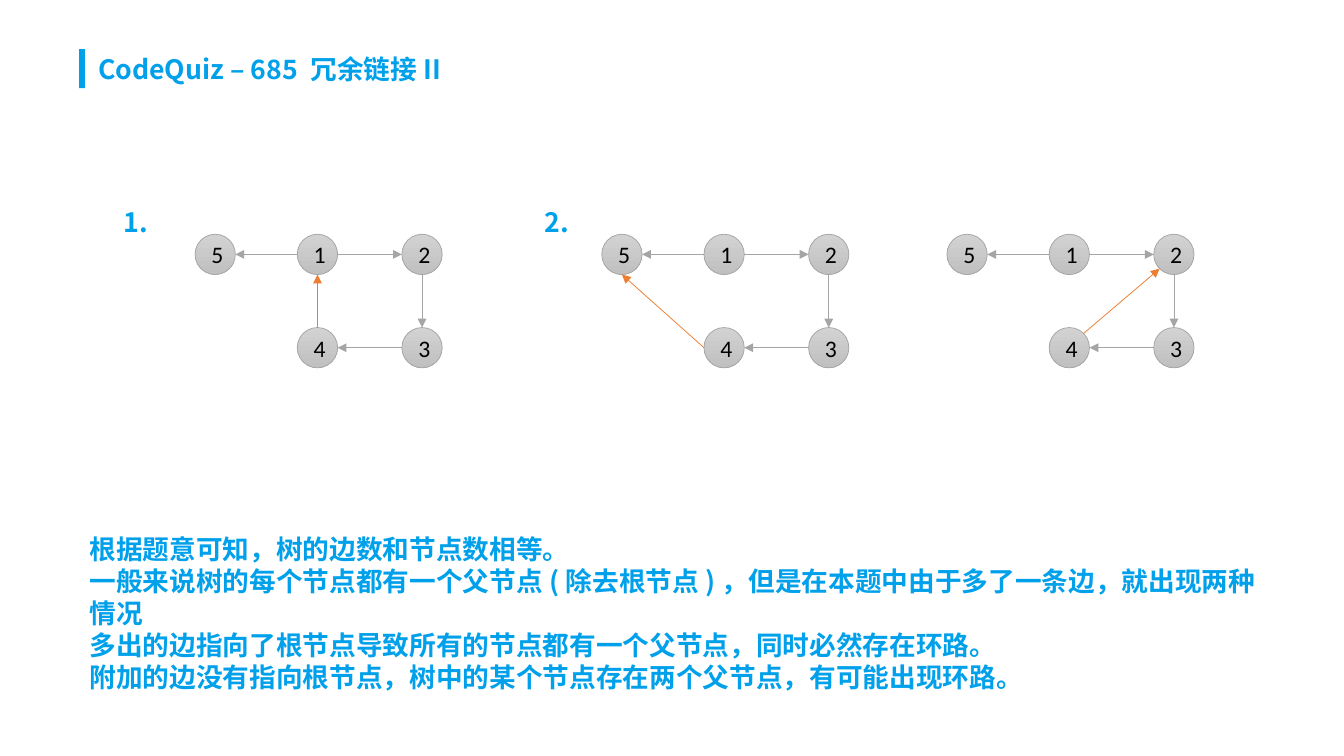
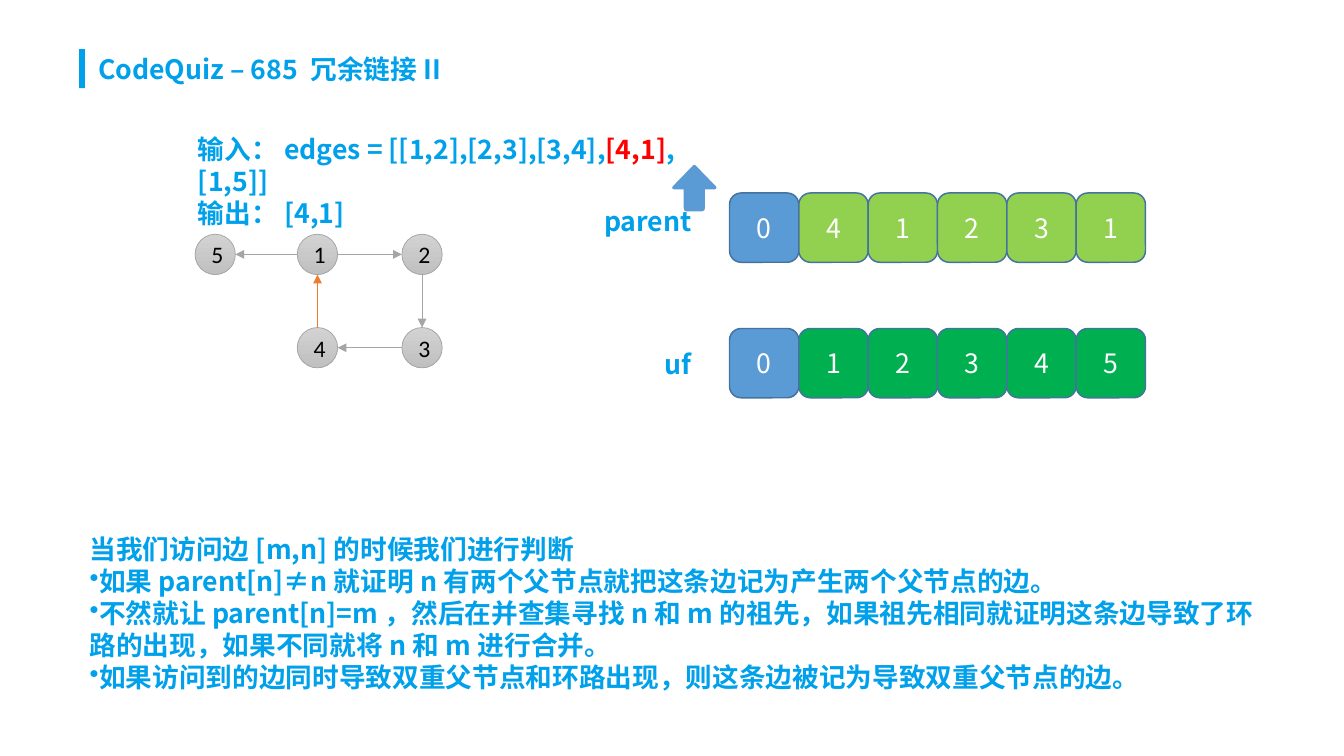
from lxml.etree import SubElement
from pptx import Presentation
from pptx.dml.color import RGBColor
from pptx.enum.shapes import MSO_CONNECTOR, MSO_SHAPE
from pptx.enum.text import MSO_ANCHOR, MSO_AUTO_SIZE, PP_ALIGN
from pptx.oxml.ns import qn
from pptx.util import Pt

SKY = RGBColor(0x00, 0xA0, 0xEA)
RED = RGBColor(0xFF, 0x00, 0x00)
BLUE = RGBColor(0x5B, 0x9B, 0xD5)
NAVY = RGBColor(0x43, 0x73, 0x9E)
LIME = RGBColor(0x92, 0xD0, 0x50)
GREEN = RGBColor(0x00, 0xB0, 0x50)
ORANGE = RGBColor(0xED, 0x7D, 0x31)
GRAY = RGBColor(0xA5, 0xA5, 0xA5)
NODE_TOP = RGBColor(0xD2, 0xD2, 0xD2)
NODE_BOTTOM = RGBColor(0xC0, 0xC0, 0xC0)
WHITE = RGBColor(0xFF, 0xFF, 0xFF)
BLACK = RGBColor(0x00, 0x00, 0x00)
CJK_FONT = "Noto Sans CJK JP"
NODE_FONT = "Calibri"

TITLE = "CodeQuiz – 685 冗余链接II"
CASE_NOTES = [
    "根据题意可知，树的边数和节点数相等。",
    "一般来说树的每个节点都有一个父节点(除去根节点)，但是在本题中由于多了一条边，就出现两种情况",
    "多出的边指向了根节点导致所有的节点都有一个父节点，同时必然存在环路。",
    "附加的边没有指向根节点，树中的某个节点存在两个父节点，有可能出现环路。",
]
STEP_INTRO = "当我们访问边[m,n]的时候我们进行判断"
STEPS = [
    "如果parent[n]≠n就证明n有两个父节点就把这条边记为产生两个父节点的边。",
    "不然就让parent[n]=m，然后在并查集寻找n和m的祖先，如果祖先相同就证明这条边导致了环路的出现，"
    "如果不同就将n和m进行合并。",
    "如果访问到的边同时导致双重父节点和环路出现，则这条边被记为导致双重父节点的边。",
]
EXAMPLE = [
    [("输入：edges = [[1,2],[2,3],[3,4],", SKY), ("[4,1]", RED), (",[1,5]]", SKY)],
    [("输出：[4,1]", SKY)],
]
# label, label top, row top, values, colour of the cells after the first
ARRAYS = [
    ("parent", 134.6, 130.3, "041231", LIME),
    ("uf", 231.1, 221.8, "012345", GREEN),
]

# Nodes as (column, row); edges as (from, side, to, side)
NODES = {1: (1, 0), 2: (2, 0), 3: (2, 1), 4: (1, 1), 5: (0, 0)}
TREE_EDGES = [(1, "W", 5, "E"), (1, "E", 2, "W"), (2, "S", 3, "N"), (3, "W", 4, "E")]
TO_ROOT = (4, "N", 1, "S")
TO_LEAF = (4, "W", 5, "S")
TO_CHILD = (4, "NE", 2, "SW")
SIDES = {"N": (0, -1), "S": (0, 1), "E": (1, 0), "W": (-1, 0),
         "NE": (0.71, -0.71), "SW": (-0.71, 0.71)}
COLUMN_X = [0, 69, 139.6]
ROW_Y = [0, 63]
NODE_SIZE = 27.2
TREE_TOP = 158.2
FIRST_TREE_X = 131.7

CELL_X, CELL_SIZE = 492.4, 46.8
LABEL_RIGHT = 474
LINE_HEIGHT = 21.6
# Right half of the pointer, from the tip down, measured from its axis
POINTER_HALF = [(0.8, 0.3), (14.5, 14.4), (15, 15.6), (13.8, 16.6), (7.2, 16.6),
                (7.2, 29), (6.7, 30.7), (5, 31.4)]


def add_span(para, text, color=SKY, bold=True, font=CJK_FONT, size=18):
    span = para.add_run()
    span.text = text
    span.font.size, span.font.bold, span.font.name = Pt(size), bold, font
    span.font.color.rgb = color
    SubElement(span._r.get_or_add_rPr(), qn("a:ea")).set("typeface", font)


def fill_frame(frame, paras, align=PP_ALIGN.LEFT, bullets_from=None):
    """Write paragraphs, each a list of (text, colour) spans."""
    frame.word_wrap = True
    frame.vertical_anchor = MSO_ANCHOR.TOP
    for i, spans in enumerate(paras):
        para = frame.paragraphs[0] if i == 0 else frame.add_paragraph()
        para.alignment = align
        para.line_spacing = Pt(LINE_HEIGHT)
        para.space_before = Pt(0)
        if bullets_from is not None and i >= bullets_from:
            props = para._p.get_or_add_pPr()
            props.set("marL", "0")
            props.set("indent", "0")
            SubElement(props, qn("a:buChar")).set("char", "•")
        for text, color in spans:
            add_span(para, text, color)


def plain(lines):
    return [[(line, SKY)] for line in lines]


def add_text(shapes, left, top, width, height, paras, **options):
    box = shapes.add_textbox(Pt(left), Pt(top), Pt(width), Pt(height))
    fill_frame(box.text_frame, paras, **options)
    box.text_frame.auto_size = MSO_AUTO_SIZE.SHAPE_TO_FIT_TEXT


def add_page(deck):
    """Add a slide with the shared title and its bar."""
    page = deck.slides.add_slide(deck.slide_layouts[5])
    title = page.shapes.title
    title.left, title.top, title.width, title.height = Pt(59), Pt(32.4), Pt(453), Pt(28.8)
    fill_frame(title.text_frame, plain([TITLE]))
    title.text_frame.auto_size = MSO_AUTO_SIZE.NONE
    bar = page.shapes.add_shape(MSO_SHAPE.RECTANGLE, Pt(53.5), Pt(33.1), Pt(3.8), Pt(26.4))
    bar.shadow.inherit = False
    bar.fill.solid()
    bar.fill.fore_color.rgb = SKY
    bar.line.fill.background()
    return page


def add_node(shapes, left, top, label):
    node = shapes.add_shape(MSO_SHAPE.OVAL, Pt(left), Pt(top), Pt(NODE_SIZE), Pt(NODE_SIZE))
    node.shadow.inherit = False
    node.fill.gradient()
    node.fill.gradient_angle = 270
    for stop, color in zip(node.fill.gradient_stops, (NODE_TOP, NODE_BOTTOM)):
        stop.color.rgb = color
    node.line.color.rgb = GRAY
    node.line.width = Pt(0.5)
    para = node.text_frame.paragraphs[0]
    para.alignment = PP_ALIGN.CENTER
    add_span(para, label, BLACK, False, NODE_FONT, 16)


def add_arrow(shapes, start, end, color):
    arrow = shapes.add_connector(MSO_CONNECTOR.STRAIGHT, *(Pt(v) for v in start + end))
    arrow.line.color.rgb = color
    arrow.line.width = Pt(0.5)
    SubElement(arrow.line._get_or_add_ln(), qn("a:tailEnd")).set("type", "triangle")
    SubElement(arrow._element.spPr, qn("a:effectLst"))


def add_tree(shapes, left, extra_edge):
    corners = {n: (left + COLUMN_X[c], TREE_TOP + ROW_Y[r]) for n, (c, r) in NODES.items()}

    def port(node, side):
        return tuple(corner + NODE_SIZE / 2 * (1 + shift)
                     for corner, shift in zip(corners[node], SIDES[side]))

    for node, corner in corners.items():
        add_node(shapes, *corner, str(node))
    for edge in TREE_EDGES + [extra_edge]:
        color = ORANGE if edge is extra_edge else GRAY
        add_arrow(shapes, port(*edge[:2]), port(*edge[2:]), color)


def add_pointer(shapes, axis, top):
    mirrored = [(-x, y) for x, y in reversed(POINTER_HALF)]
    points = [(Pt(axis + x), Pt(top + y)) for x, y in POINTER_HALF + mirrored]
    builder = shapes.build_freeform(Pt(axis), Pt(top))
    builder.add_line_segments(points, close=True)
    pointer = builder.convert_to_shape()
    pointer.shadow.inherit = False
    pointer.fill.solid()
    pointer.fill.fore_color.rgb = BLUE
    pointer.line.fill.background()


def add_array(shapes, label, label_top, top, values, color):
    row = shapes.add_group_shape().shapes
    for i, value in enumerate(values):
        cell = row.add_shape(MSO_SHAPE.ROUNDED_RECTANGLE, Pt(CELL_X + i * CELL_SIZE), Pt(top),
                             Pt(CELL_SIZE), Pt(CELL_SIZE))
        cell.shadow.inherit = False
        cell.fill.solid()
        cell.fill.fore_color.rgb = color if i else BLUE
        cell.line.color.rgb = NAVY
        cell.line.width = Pt(1)
        para = cell.text_frame.paragraphs[0]
        para.alignment = PP_ALIGN.CENTER
        para.line_spacing = Pt(LINE_HEIGHT)
        add_span(para, value, WHITE, False)
    add_text(row, LABEL_RIGHT - 80, label_top, 80, 28.8, plain([label]), align=PP_ALIGN.RIGHT)


def build_cases(deck):
    shapes = add_page(deck).shapes
    add_text(shapes, 53.4, 356.4, 813.6, 115.2, plain(CASE_NOTES))
    for label, left in (("1.", 76.5), ("2.", 360.5)):
        add_text(shapes, left, 135.4, 31, 28.8, plain([label]))
    for left, extra_edge in ((FIRST_TREE_X, TO_ROOT), (406.2, TO_LEAF), (639.2, TO_CHILD)):
        add_tree(shapes, left, extra_edge)


def build_steps(deck):
    shapes = add_page(deck).shapes
    add_text(shapes, 53.4, 356.4, 813.6, 115.2, plain([STEP_INTRO] + STEPS), bullets_from=1)
    add_text(shapes, 126.5, 86.4, 375.8, 72, EXAMPLE)
    add_pointer(shapes, 468.7, 111.4)
    add_tree(shapes, FIRST_TREE_X, TO_ROOT)
    for array in ARRAYS:
        add_array(shapes, *array)


def main():
    deck = Presentation()
    deck.slide_width, deck.slide_height = Pt(907.2), Pt(510.5)
    build_cases(deck)
    build_steps(deck)
    deck.save("out.pptx")


if __name__ == "__main__":
    main()
